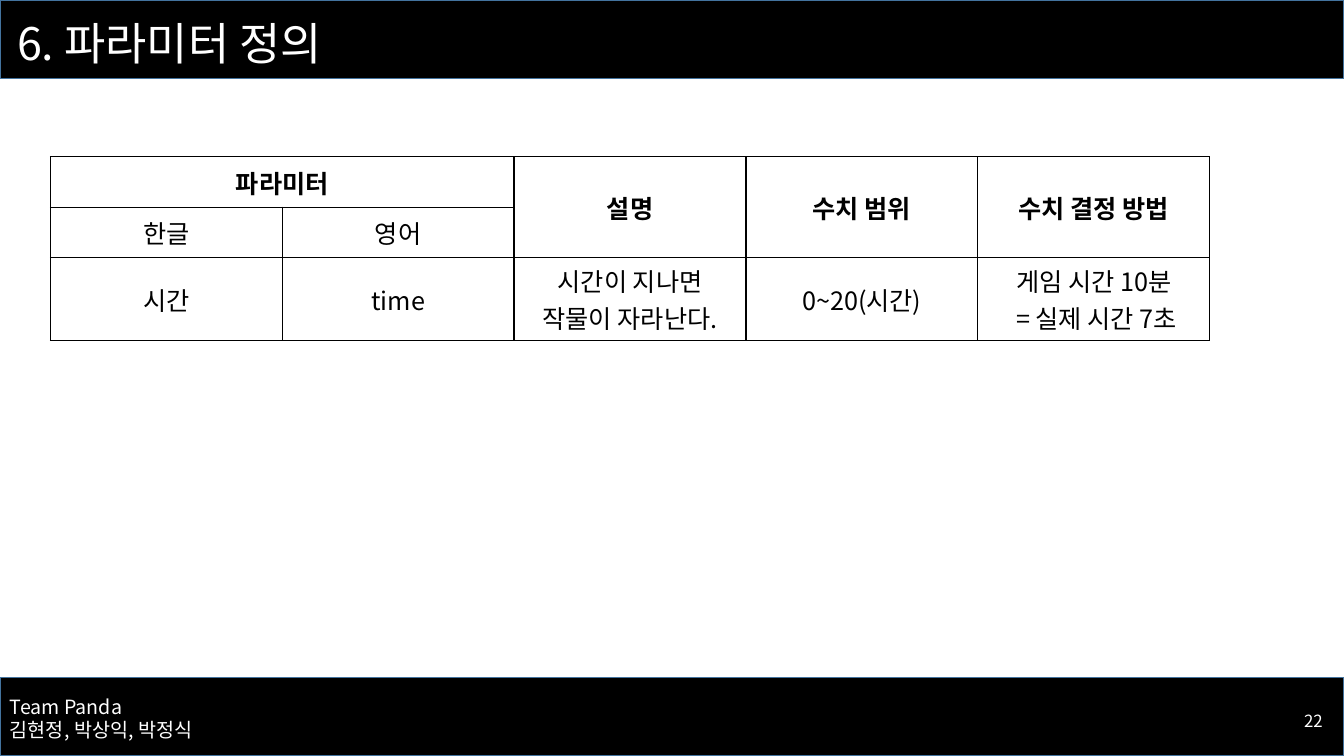
from lxml import etree
from pptx import Presentation
from pptx import util as u
from pptx.dml.color import RGBColor
from pptx.enum import shapes, text
from pptx.oxml.ns import qn

WIDTH, HEIGHT = 960, 540
BAR_HEIGHT = 56
LEFT, CENTER, RIGHT = text.PP_ALIGN.LEFT, text.PP_ALIGN.CENTER, text.PP_ALIGN.RIGHT
MIDDLE, TOP = text.MSO_ANCHOR.MIDDLE, text.MSO_ANCHOR.TOP


def colour(value):
    return RGBColor.from_string(value)


class SlideBuilder:
    font = "Noto Sans CJK KR"
    ink = "000000"
    paper = "FFFFFF"
    bar_line = "43739E"

    def __init__(self, deck):
        self.page = deck.slides.add_slide(deck.slide_layouts[5])

    def add_lines(self, frame, lines, size, shade, align=LEFT, bold=False):
        frame.word_wrap = True
        for index, line in enumerate(lines):
            para = frame.paragraphs[0] if index == 0 else frame.add_paragraph()
            para.alignment = align
            span = para.add_run()
            span.text = line
            span.font.size = u.Pt(size)
            span.font.bold = bold
            span.font.color.rgb = colour(shade)
            span.font.name = self.font
            east_asian = etree.SubElement(span.font._element, qn("a:ea"))
            east_asian.set("typeface", self.font)

    def bar(self, top):
        box = self.page.shapes.add_shape(
            shapes.MSO_SHAPE.RECTANGLE, 0, u.Pt(top), u.Pt(WIDTH), u.Pt(BAR_HEIGHT))
        box.shadow.inherit = False
        box.fill.solid()
        box.fill.fore_color.rgb = colour(self.ink)
        box.line.color.rgb = colour(self.bar_line)
        box.line.width = u.Pt(1)

    def title(self, words, left, top, width, height):
        box = self.page.shapes.title
        box.left, box.top, box.width, box.height = map(u.Pt, (left, top, width, height))
        box.element.getparent().append(box.element)
        frame = box.text_frame
        frame.auto_size = text.MSO_AUTO_SIZE.NONE
        frame.vertical_anchor = MIDDLE
        self.add_lines(frame, [words], 32, self.paper)
        frame.paragraphs[0].line_spacing = 0.9

    def label(self, lines, left, top, width, height, size, align=LEFT, anchor=TOP):
        box = self.page.shapes.add_textbox(*map(u.Pt, (left, top, width, height)))
        box.text_frame.vertical_anchor = anchor
        self.add_lines(box.text_frame, lines, size, self.paper, align)

    def border(self, cell):
        properties = cell._tc.get_or_add_tcPr()
        for index, side in enumerate(("lnL", "lnR", "lnT", "lnB")):
            line = etree.Element(qn(f"a:{side}"), w=str(u.Pt(1)))
            fill = etree.SubElement(line, qn("a:solidFill"))
            etree.SubElement(fill, qn("a:srgbClr"), val=self.ink)
            properties.insert(index, line)

    def table(self, rows, merges, left, top, column_width, row_heights):
        columns = len(rows[0])
        grid = self.page.shapes.add_table(
            len(rows), columns, u.Pt(left), u.Pt(top),
            u.Pt(column_width * columns), u.Pt(sum(row_heights))).table
        grid.first_row = grid.horz_banding = False
        for column in grid.columns:
            column.width = u.Pt(column_width)
        for row, height in zip(grid.rows, row_heights):
            row.height = u.Pt(height)
        for row_index, row in enumerate(rows):
            for column_index, words in enumerate(row):
                cell = grid.cell(row_index, column_index)
                cell.fill.background()
                cell.vertical_anchor = MIDDLE
                self.border(cell)
                if words:
                    self.add_lines(cell.text_frame, words.split("\n"), 18, self.ink,
                                   CENTER, bold=row_index == 0)
        for first, last in merges:
            grid.cell(*first).merge(grid.cell(*last))


def main():
    deck = Presentation()
    deck.slide_width, deck.slide_height = u.Pt(WIDTH), u.Pt(HEIGHT)
    slide = SlideBuilder(deck)
    for top in (0, HEIGHT - BAR_HEIGHT):
        slide.bar(top)
    slide.label(["Team Panda", "김현정, 박상익, 박정식"], 0, 492.5, 216, 41, 14)
    slide.label(["22"], 736, 500.5, 216, 29, 12, RIGHT, MIDDLE)
    slide.title("6. 파라미터 정의", 5, 2, 828, 61)
    parameters = [
        ["파라미터", "", "설명", "수치 범위", "수치 결정 방법"],
        ["한글", "영어", "", "", ""],
        ["시간", "time", "시간이 지나면 작물이 자라난다.", "0~20(시간)",
         "게임 시간 10분\n = 실제 시간 7초"],
    ]
    merges = [((0, 0), (0, 1))] + [((0, column), (1, column)) for column in (2, 3, 4)]
    slide.table(parameters, merges, 36, 112, 165.6, [36, 36, 50])
    deck.save("out.pptx")


if __name__ == "__main__":
    main()
